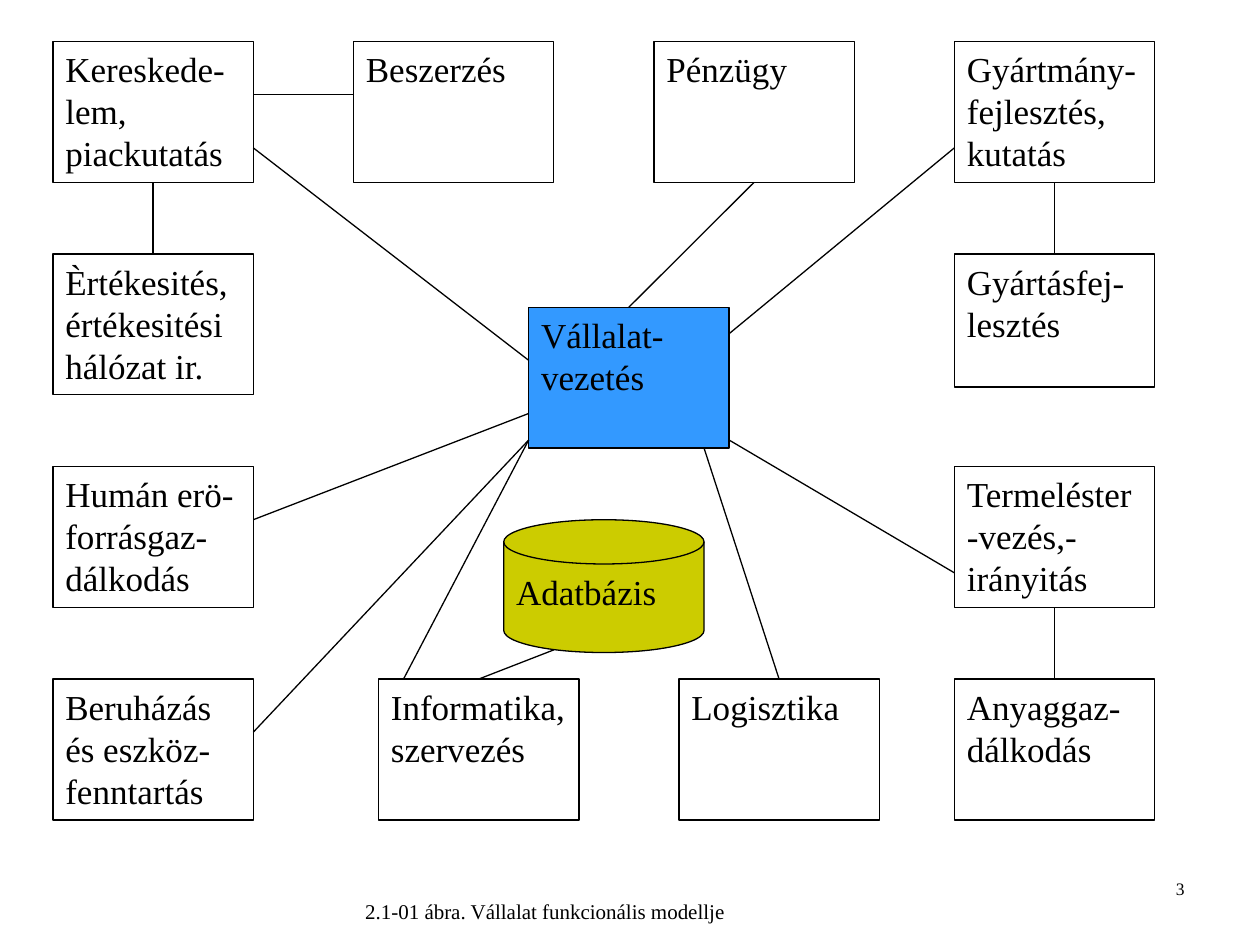
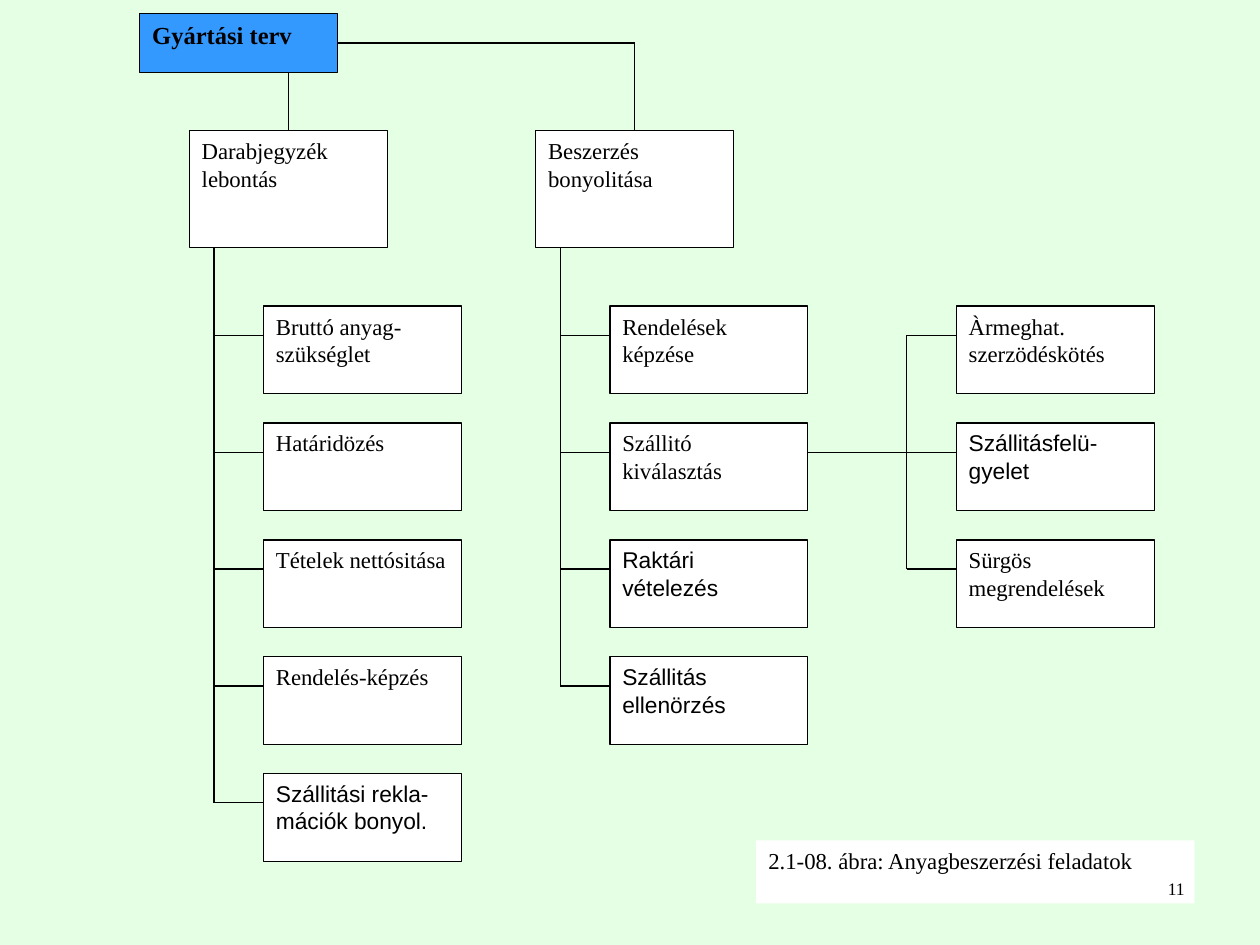
from dataclasses import dataclass

from lxml import etree
from pptx import Presentation
from pptx.dml.color import RGBColor
from pptx.enum.shapes import MSO_CONNECTOR, MSO_SHAPE
from pptx.enum.text import MSO_ANCHOR, PP_ALIGN
from pptx.oxml.ns import qn
from pptx.util import Inches, Pt

PROCESS = MSO_SHAPE.FLOWCHART_PROCESS
DISK = MSO_SHAPE.FLOWCHART_MAGNETIC_DISK
RECTANGLE = MSO_SHAPE.RECTANGLE
STRAIGHT = MSO_CONNECTOR.STRAIGHT
TOP, BOTTOM, RIGHT = 0, 2, 3


@dataclass(frozen=True)
class Theme:
    serif: str = "Times New Roman"
    sans: str = "Arial"
    black: str = "000000"
    white: str = "FFFFFF"
    blue: str = "3399FF"
    olive: str = "CCCC00"
    mint: str = "E5FFE5"
    line_width: float = 0.75
    model_size: int = 20
    task_size: int = 13
    heading_size: int = 14
    caption_size: int = 12
    number_size: int = 10


THEME = Theme()


@dataclass(frozen=True)
class Grid:
    """Origin and cell size in inches."""
    left: float
    top: float
    column: float
    row: float

    def x(self, column):
        return Inches(self.left + column * self.column)

    def y(self, row):
        return Inches(self.top + row * self.row)

    def area(self, column, row, columns, rows):
        return (self.x(column), self.y(row),
                Inches(columns * self.column), Inches(rows * self.row))


MODEL_GRID = Grid(0.42, 0.33, 1.59 / 8, 5.06 / 24)
TASK_GRID = Grid(1.11, 0.11, 6.48 / 33, 6.03 / 26)


def color(value):
    return RGBColor.from_string(value)


def write(shape, text, size, font=THEME.serif, bold=False, align=PP_ALIGN.LEFT):
    frame = shape.text_frame
    frame.word_wrap = True
    frame.vertical_anchor = MSO_ANCHOR.TOP
    frame.text = text
    for paragraph in frame.paragraphs:
        paragraph.alignment = align
        paragraph.font.name = font
        paragraph.font.size = Pt(size)
        paragraph.font.bold = bold
        paragraph.font.color.rgb = color(THEME.black)


def add_box(slide, area, text, size, fill=THEME.white, kind=PROCESS,
            outlined=True, **style):
    shape = slide.shapes.add_shape(kind, *area)
    shape.shadow.inherit = False
    shape.fill.solid()
    shape.fill.fore_color.rgb = color(fill)
    if outlined:
        shape.line.color.rgb = color(THEME.black)
        shape.line.width = Pt(THEME.line_width)
    else:
        shape.line.fill.background()
    write(shape, text, size, **style)
    return shape


def add_line(slide, grid, start, end):
    """Each end is a (column, row) point or a (shape, side) pair."""
    glued = [not isinstance(point[0], (int, float)) for point in (start, end)]
    places = [(0, 0) if joined else (grid.x(point[0]), grid.y(point[1]))
              for point, joined in zip((start, end), glued)]
    connector = slide.shapes.add_connector(STRAIGHT, *places[0], *places[1])
    if glued[0]:
        connector.begin_connect(*start)
    if glued[1]:
        connector.end_connect(*end)
    connector.line.color.rgb = color(THEME.black)
    connector.line.width = Pt(THEME.line_width)
    etree.SubElement(connector._element.spPr, qn("a:effectLst"))


def add_branch(slide, grid, column, top, box_column, rows):
    """A trunk with one stub for each box row."""
    add_line(slide, grid, (column, top), (column, rows[-1]))
    for row in rows:
        add_line(slide, grid, (column, row), (box_column, row))


def add_slide(presentation, background):
    slide = presentation.slides.add_slide(presentation.slide_layouts[6])
    slide.background.fill.solid()
    slide.background.fill.fore_color.rgb = color(background)
    return slide


def add_number(slide, number):
    box = slide.shapes.add_textbox(
        Inches(7.17), Inches(6.92), Inches(2.33), Inches(0.5))
    write(box, number, THEME.number_size, align=PP_ALIGN.RIGHT)


def build_company_model(presentation):
    slide = add_slide(presentation, THEME.white)
    grid = MODEL_GRID

    def unit(text, column, row, rows=5.3, **style):
        return add_box(slide, grid.area(column, row, 8, rows), text,
                       THEME.model_size, **style)

    # Departments around the management
    unit("Adatbázis", 18, 18, 5, fill=THEME.olive, kind=DISK)
    trade = unit("Kereskede-lem, piackutatás", 0, 0)
    unit("Beszerzés", 12, 0)
    finance = unit("Pénzügy", 24, 0)
    development = unit("Gyártmány-fejlesztés, kutatás", 36, 0)
    sales = unit("Èrtékesités, értékesitési\nhálózat ir.", 0, 8)
    process = unit("Gyártásfej-lesztés", 36, 8, 5)
    unit("Humán erö- forrásgaz- dálkodás", 0, 16)
    planning = unit("Termeléster-vezés,- irányitás", 36, 16)
    unit("Beruházás és eszköz-fenntartás", 0, 24)
    informatics = unit("Informatika, szervezés", 13, 24)
    logistics = unit("Logisztika", 25, 24)
    materials = unit("Anyaggaz- dálkodás", 36, 24)
    management = unit("Vállalat-vezetés", 19, 10, fill=THEME.blue)

    # Links between departments, then links to the management
    links = [
        ((8, 2), (12, 2)),
        ((trade, BOTTOM), (sales, TOP)),
        ((development, BOTTOM), (process, TOP)),
        ((planning, BOTTOM), (materials, TOP)),
        ((informatics, TOP), (20, 22.9)),
        ((management, TOP), (finance, BOTTOM)),
        ((26, 15.3), (logistics, TOP)),
        ((27, 11), (36, 4)),
        ((27, 15), (36, 20)),
        ((19, 12), (8, 4)),
        ((19, 14), (8, 18)),
        ((19, 15), (8, 26)),
        ((19, 15), (14, 24)),
    ]
    for start, end in links:
        add_line(slide, grid, start, end)

    # Caption
    area = [Inches(length) for length in (2.8, 7.08, 4.97, 0.42)]
    add_box(slide, area, "2.1-01 ábra. Vállalat funkcionális modellje",
            THEME.caption_size, kind=RECTANGLE, outlined=False)
    add_number(slide, "3")


def build_purchasing_tasks(presentation):
    slide = add_slide(presentation, THEME.mint)
    grid = TASK_GRID

    # Caption
    area = [Inches(length) for length in (6, 6.67, 3.48, 0.5)]
    add_box(slide, area, "2.1-08. ábra: Anyagbeszerzési feladatok",
            THEME.task_size, kind=RECTANGLE, outlined=False)

    # Plan and its two main tasks
    plan = add_box(slide, grid.area(0, 0, 8, 2), "Gyártási terv",
                   THEME.heading_size, fill=THEME.blue, bold=True)
    parts_list, purchasing = [
        add_box(slide, grid.area(column, 4, 8, 4), text, THEME.task_size)
        for column, text in ((2, "Darabjegyzék lebontás"),
                             (16, "Beszerzés bonyolitása"))]

    # Columns of subtasks
    serif, sans = THEME.serif, THEME.sans
    subtasks = {
        5: [("Bruttó anyag-szükséglet", serif), ("Határidözés", serif),
            ("Tételek nettósitása", serif), ("Rendelés-képzés", serif),
            ("Szállitási rekla- mációk bonyol.", sans)],
        19: [("Rendelések képzése", serif), ("Szállitó kiválasztás", serif),
             ("Raktári vételezés", sans), ("Szállitás ellenörzés", sans)],
        33: [("Àrmeghat. szerzödéskötés", serif),
             ("Szállitásfelü-gyelet", sans), ("Sürgös megrendelések", serif)],
    }
    for column, tasks in subtasks.items():
        for index, (text, font) in enumerate(tasks):
            add_box(slide, grid.area(column, 10 + 4 * index, 8, 3), text,
                    THEME.task_size, font=font)
        stubs = [11 + 4 * index for index in range(len(tasks))]
        trunk_top = 11 if column == 33 else 8
        add_branch(slide, grid, column - 2, trunk_top, column, stubs)

    # Links from the plan and from supplier selection
    add_line(slide, grid, (plan, RIGHT), (20, 1))
    add_line(slide, grid, (20, 1), (purchasing, TOP))
    add_line(slide, grid, (6, 2), (parts_list, TOP))
    add_line(slide, grid, (27, 15), (31, 15))
    add_number(slide, "11")


def main():
    presentation = Presentation()
    presentation.slide_width = Inches(10)
    presentation.slide_height = Inches(7.5)
    build_company_model(presentation)
    build_purchasing_tasks(presentation)
    presentation.save("out.pptx")


if __name__ == "__main__":
    main()
